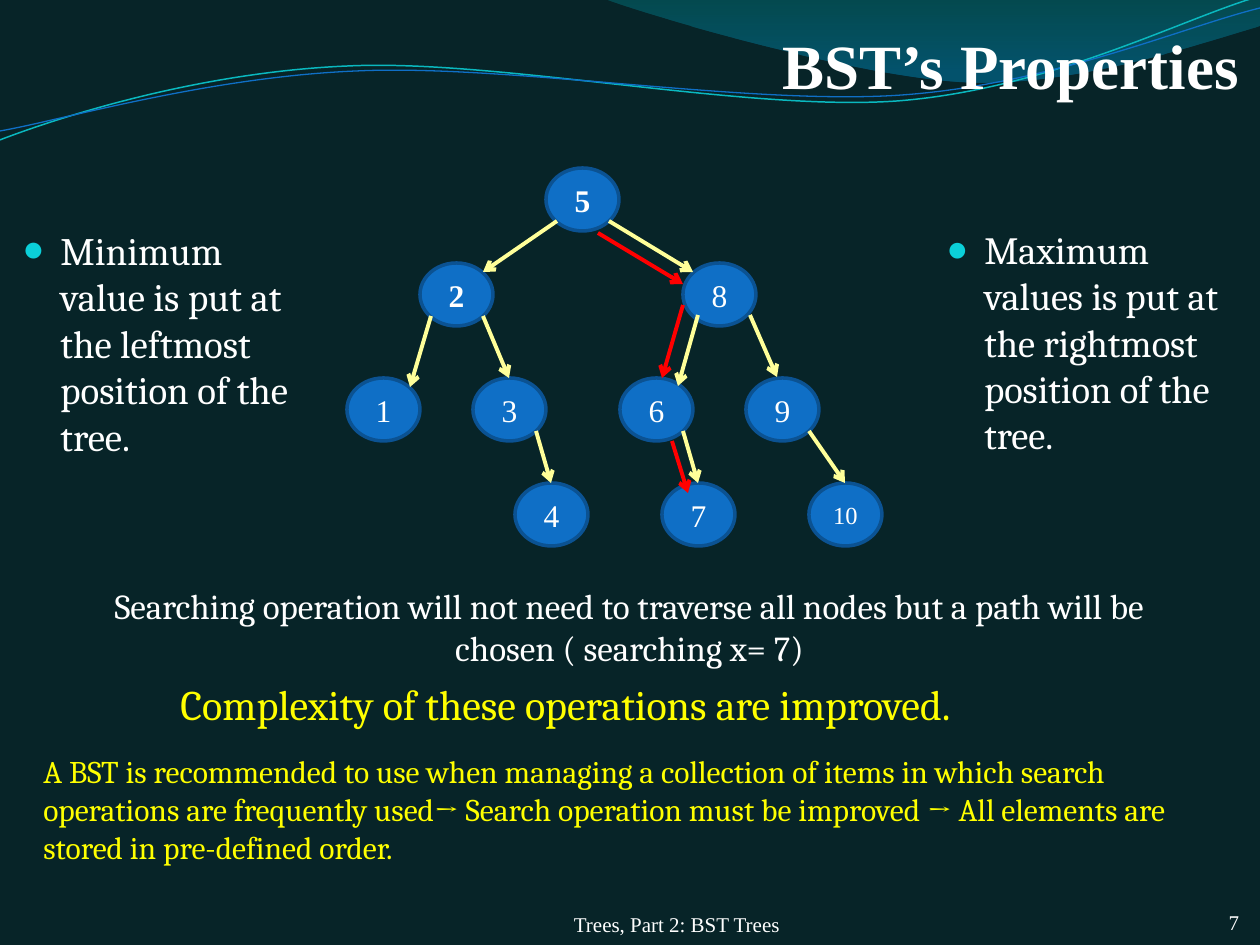
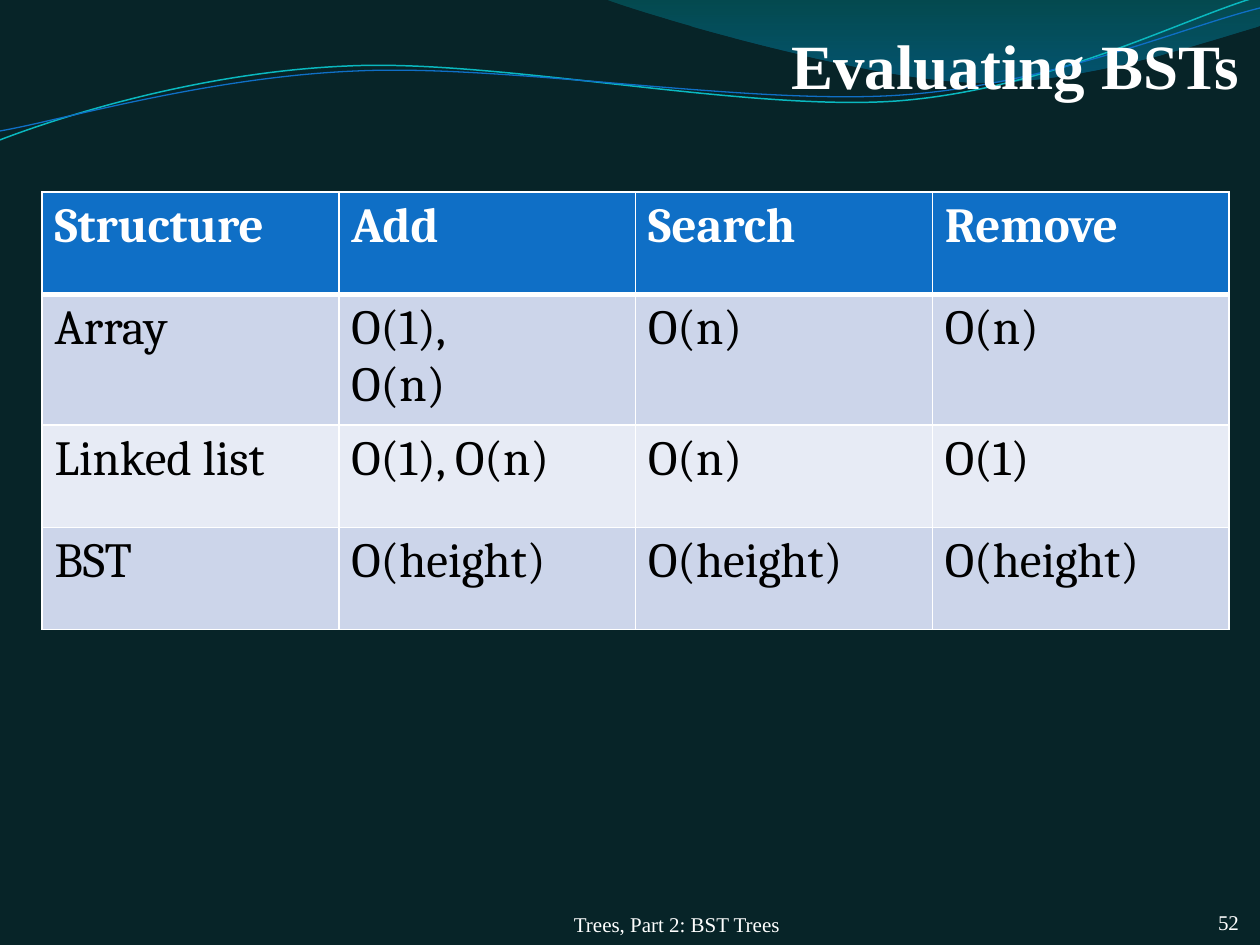
"""Builds two slides about binary search trees."""
from math import cos, radians, sin

from lxml.etree import SubElement
from pptx import Presentation
from pptx.dml.color import RGBColor
from pptx.enum.shapes import MSO_CONNECTOR, MSO_SHAPE
from pptx.enum.text import MSO_ANCHOR, PP_ALIGN
from pptx.oxml.ns import qn
from pptx.util import Emu, Pt

EMU_PER_PX = 914400 / 126
WIDTH, HEIGHT = 1260, 945
COLORS = {
    "background": "072428", "white": "FFFFFF", "black": "000000", "yellow": "FFFF00",
    "node": "0F6FC6", "node_line": "0B5292", "edge": "FFFF99", "search": "FF0000",
    "bullet": "0BD0D9", "wave_teal": "0AB8BF", "wave_blue": "0F6FC6",
    "swoosh_top": "00A1A9", "swoosh_end": "008BBF",
    "header": "0F6FC6", "band_dark": "CCD5EA", "band_light": "E7EBF5",
}
SERIF, BODY = "Times New Roman", "Cambria"
FOOTER = "Trees, Part 2: BST Trees"

SWOOSH = [(604, -1), (641, 14), (859, 78), (969, 82), (1079, 86), (1211, 40), (1260, 26)]
WAVE_TILT = 2.7
WAVES = [
    ("wave_teal", 0.85, (629, 72),
     [(0, 140), (60, 117), (199, 72), (349, 66), (498, 59),
      (747, 112), (898, 101), (1050, 89), (1182, 19), (1257, -3)]),
    ("wave_blue", 0.75, (630, 74),
     [(0, 131), (59, 121), (207, 77), (357, 71), (508, 64),
      (752, 106), (903, 95), (1053, 84), (1186, 26), (1260, 8)]),
]

NODE_W, NODE_H = 73, 63
NODES = {
    "5": (546, 168), "2": (420, 263), "8": (683, 263),
    "1": (347, 378), "3": (473, 378), "6": (620, 378), "9": (746, 378),
    "4": (515, 483), "7": (662, 483), "10": (809, 483),
}
SITES = {"top": (36, 0), "top left": (10, 9), "top right": (63, 9),
         "bottom left": (11, 53), "bottom right": (63, 53)}
EDGES = [
    ("5", "bottom left", "2", "top right"), ("5", "bottom right", "8", "top left"),
    ("2", "bottom left", "1", "top right"), ("2", "bottom right", "3", "top"),
    ("8", "bottom left", "6", "top right"), ("8", "bottom right", "9", "top"),
    ("3", "bottom right", "4", "top"), ("6", "bottom right", "7", "top"),
    ("9", "bottom right", "10", "top"),
]
SEARCH_PATH = [((598, 233), (683, 284)), ((683, 305), (662, 378)), ((672, 441), (688, 493))]

COSTS = [
    ("Structure", "Add", "Search", "Remove"),
    ("Array", "O(1),\nO(n)", "O(n)", "O(n)"),
    ("Linked list", "O(1), O(n)", "O(n)", "O(1)"),
    ("BST", "O(height)", "O(height)", "O(height)"),
]


def px(value):
    """Turn px into EMU."""
    return Emu(round(value * EMU_PER_PX))


def rgb(name):
    """Look up a colour by name."""
    return RGBColor.from_string(COLORS[name])


def set_all(target, values):
    """Set each attribute in values on target."""
    for name, value in values.items():
        setattr(target, name, value)


def write(tf, text, size, font=BODY, color="white", bold=False, align=PP_ALIGN.LEFT):
    """Fill a text frame with one paragraph per line of text."""
    tf.text = text
    for p in tf.paragraphs:
        p.alignment = align
        for r in p.runs:
            set_all(r.font, {"name": font, "size": Pt(size), "bold": bold})
            r.font.color.rgb = rgb(color)


def set_insets(tf, top=0):
    """Remove the insets of a text frame, except a given top one."""
    set_all(tf, {"margin_left": 0, "margin_right": 0, "margin_bottom": 0, "margin_top": px(top)})


def add_text(s, box, text, size, **style):
    """Add a wrapping text box and return its text frame."""
    tf = s.shapes.add_textbox(*map(px, box)).text_frame
    tf.word_wrap = True
    write(tf, text, size, **style)
    return tf


def add_label(s, box, text, size, top=0, **style):
    """Add bottom-anchored serif text without insets."""
    tf = add_text(s, box, text, size, font=SERIF, **style)
    set_insets(tf, top)
    tf.vertical_anchor = MSO_ANCHOR.BOTTOM


def add_bullet(s, box, text, size):
    """Add a text box with one hanging bullet."""
    p = add_text(s, box, text, size).paragraphs[0]
    p.space_before = Pt(size * 0.2)
    pPr = p._p.get_or_add_pPr()
    pPr.set("marL", str(px(38)))
    pPr.set("indent", str(-px(38)))
    SubElement(SubElement(pPr, qn("a:buClr")), qn("a:srgbClr"), val=COLORS["bullet"])
    SubElement(pPr, qn("a:buSzPct"), val="95000")
    SubElement(pPr, qn("a:buFont"), typeface=SERIF)
    SubElement(pPr, qn("a:buChar"), char="●")


def rotate(point, center, degrees):
    """Turn a point clockwise about a centre."""
    x, y = point[0] - center[0], point[1] - center[1]
    c, n = cos(radians(degrees)), sin(radians(degrees))
    return center[0] + x * c - y * n, center[1] + x * n + y * c


def add_curve(s, knots, corners=()):
    """Add a freeform of cubic curves, closed through the corners if there are any."""
    start, *rest = [(px(x), px(y)) for x, y in (*knots, *corners)]
    builder = s.shapes.build_freeform(*start)
    builder.add_line_segments(rest, close=bool(corners))
    sp = builder.convert_to_shape()
    sp.shadow.inherit = False
    lines = list(sp.element.spPr.iter(qn("a:lnTo")))[:len(knots) - 1]
    for i in range(0, len(lines), 3):
        curve = SubElement(lines[i].getparent(), qn("a:cubicBezTo"))
        lines[i].addprevious(curve)
        for line in lines[i:i + 3]:
            curve.append(line[0])
            line.getparent().remove(line)
    return sp


def add_swoosh(s):
    """Add the translucent gradient shape at the top right."""
    sp = add_curve(s, SWOOSH, [(WIDTH, 0)])
    sp.line.fill.background()
    sp.fill.gradient()
    sp.fill.gradient_angle = 270
    stops = [(0, "swoosh_top"), (0.8, "swoosh_end")]
    for stop, (position, color) in zip(sp.fill.gradient_stops, stops):
        stop.position = position
        stop.color.rgb = rgb(color)
    for clr, alpha in zip(sp.element.spPr.iter(qn("a:srgbClr")), ("30000", "45000")):
        SubElement(clr, qn("a:alpha"), val=alpha)


def add_wave(s, color, width, center, knots):
    """Add one tilted curve across the slide."""
    sp = add_curve(s, [rotate(knot, center, WAVE_TILT) for knot in knots])
    sp.rotation = 360 - WAVE_TILT
    sp.fill.background()
    sp.line.color.rgb = rgb(color)
    sp.line.width = Pt(width)


def add_node(s, key, left, top):
    """Add one tree node."""
    sp = s.shapes.add_shape(MSO_SHAPE.OVAL, *map(px, (left, top, NODE_W, NODE_H)))
    sp.shadow.inherit = False
    sp.fill.solid()
    sp.fill.fore_color.rgb = rgb("node")
    sp.line.color.rgb = rgb("node_line")
    sp.line.width = Pt(2)
    tf = sp.text_frame
    set_insets(tf)
    tf.vertical_anchor = MSO_ANCHOR.MIDDLE
    write(tf, key, 14 if len(key) > 1 else 18, font=SERIF, bold=key in ("5", "2"),
          align=PP_ALIGN.CENTER)


def add_arrow(s, start, end, color):
    """Add a line with an open arrowhead at its end."""
    c = s.shapes.add_connector(MSO_CONNECTOR.STRAIGHT, *map(px, (*start, *end)))
    c.line.color.rgb = rgb(color)
    c.line.width = Pt(2.25)
    SubElement(c.line._get_or_add_ln(), qn("a:tailEnd"), type="arrow")
    SubElement(c.element.spPr, qn("a:effectLst"))


def site(key, name):
    """Find the place of a connection site on a node."""
    return tuple(a + b for a, b in zip(NODES[key], SITES[name]))


def add_tree(s):
    """Add the nodes, the edges and the search path."""
    for key, place in NODES.items():
        add_node(s, key, *place)
    for parent, leave, child, arrive in EDGES:
        start, end = site(parent, leave), site(child, arrive)
        if parent == "8":
            start, end = (start[0] + 4, start[1] - 1), (end[0] - 5, end[1] - 1)
        add_arrow(s, start, end, "edge")
    for start, end in SEARCH_PATH:
        add_arrow(s, start, end, "search")


def add_header_borders(cell):
    """Draw white borders round a header cell, thick at the bottom."""
    tcPr = cell._tc.get_or_add_tcPr()
    for side, width in {"lnL": 1, "lnR": 1, "lnT": 1, "lnB": 3}.items():
        ln = SubElement(tcPr, qn("a:" + side), w=str(Pt(width)))
        SubElement(SubElement(ln, qn("a:solidFill")), qn("a:srgbClr"), val=COLORS["white"])


def add_cost_table(s, box):
    """Add the table of operation costs."""
    table = s.shapes.add_table(len(COSTS), len(COSTS[0]), *map(px, box)).table
    for i, row in enumerate(COSTS):
        fill = "header" if i == 0 else ("band_dark" if i % 2 else "band_light")
        for j, text in enumerate(row):
            cell = table.cell(i, j)
            if i == 0:
                add_header_borders(cell)
            cell.fill.solid()
            cell.fill.fore_color.rgb = rgb(fill)
            write(cell.text_frame, text, 28, color="black" if i else "white", bold=i == 0)


def add_base_slide(prs, title):
    """Add a slide with background, waves and title."""
    s = prs.slides.add_slide(prs.slide_layouts[6])
    s.background.fill.solid()
    s.background.fill.fore_color.rgb = rgb("background")
    add_swoosh(s)
    for wave in WAVES:
        add_wave(s, *wave)
    add_label(s, (63, 10, 1176, 92), title, 36, top=6, bold=True, align=PP_ALIGN.RIGHT)
    return s


def add_footer(s, number):
    """Add the slide number and the footer text."""
    add_label(s, (1166, 903, 73, 32), number, 12, align=PP_ALIGN.RIGHT)
    add_label(s, (367, 903, 620, 34), FOOTER, 12, align=PP_ALIGN.CENTER)


def add_properties_slide(prs):
    """Add the slide with the search tree."""
    s = add_base_slide(prs, "BST’s Properties")
    add_bullet(s, (10, 220, 294, 231),
               "Minimum value is put at the leftmost position of the tree.", 22.2)
    add_text(s, (73, 578, 1113, 97),
             "Searching operation will not need to traverse all nodes but a path will be "
             "chosen ( searching x= 7)", 20, align=PP_ALIGN.CENTER)
    add_text(s, (168, 672, 955, 63),
             "Complexity of these operations are improved.", 24, color="yellow")
    add_footer(s, "7")
    add_bullet(s, (934, 220, 305, 347),
               "Maximum values is put at the rightmost position of the tree.", 22)
    add_tree(s)
    add_text(s, (31, 746, 1197, 127),
             "A BST is recommended to use when managing a collection of items in which search "
             "operations are frequently used→ Search operation must be improved → All elements "
             "are stored in pre-defined order.", 18, color="yellow")


def add_evaluation_slide(prs):
    """Add the slide with the cost table."""
    s = add_base_slide(prs, "Evaluating BSTs")
    add_cost_table(s, (42, 192, 1187, 410))
    add_footer(s, "52")


def main():
    """Build and save the presentation."""
    prs = Presentation()
    set_all(prs, {"slide_width": px(WIDTH), "slide_height": px(HEIGHT)})
    add_properties_slide(prs)
    add_evaluation_slide(prs)
    prs.save("out.pptx")


if __name__ == "__main__":
    main()
